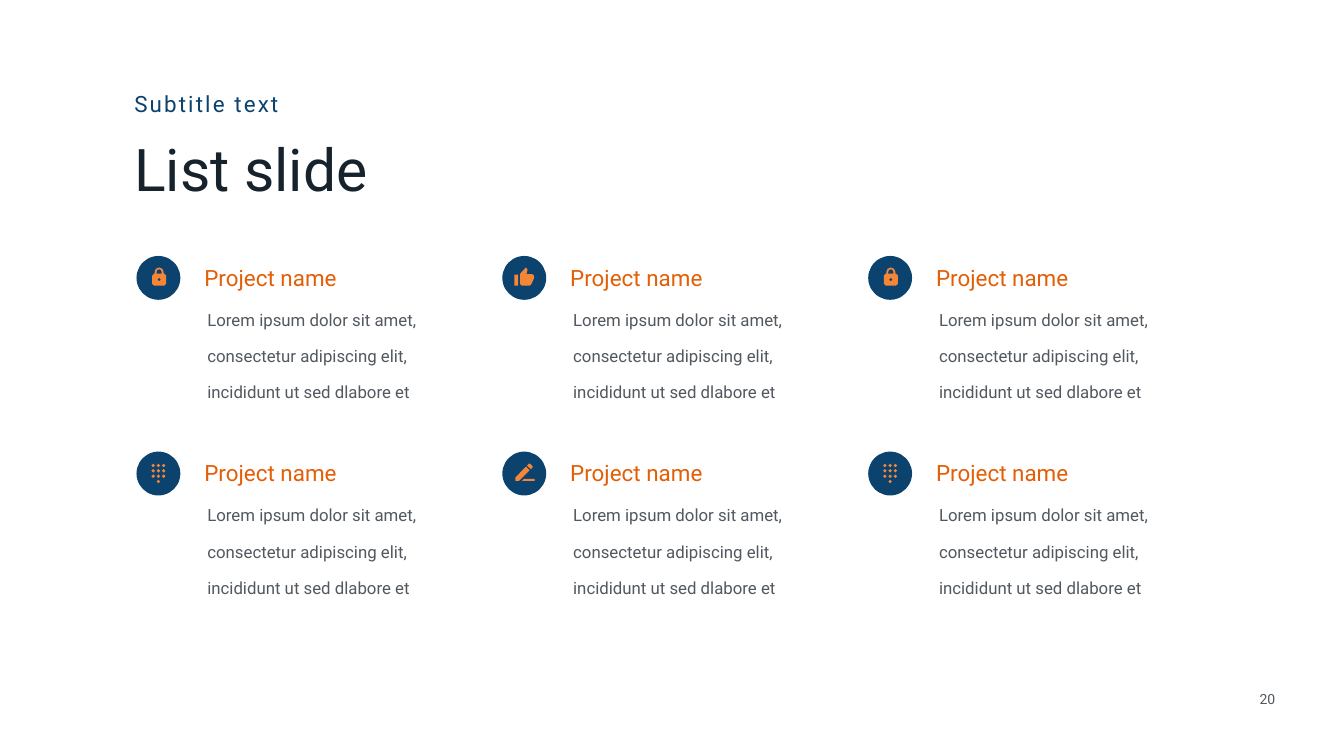
import math

from pptx import Presentation
from pptx.dml.color import RGBColor
from pptx.enum import shapes, text
from pptx.util import Cm, Pt

NAVY = RGBColor(0x0B, 0x42, 0x6E)
INK = RGBColor(0x16, 0x22, 0x2C)
GREY = RGBColor(0x51, 0x58, 0x5F)
ORANGE = RGBColor(0xE4, 0x5E, 0x06)
LIGHT_ORANGE = RGBColor(0xF5, 0x86, 0x37)

GRID_LEFT, GRID_TOP = 6.88, 12.9
COLUMN_STEP, ROW_STEP = 18.44, 9.86
BADGE_SIZE = 2.21
TEXT_INDENT = 3.32
HEADING = "Project name"
DESCRIPTION = ("Lorem ipsum dolor sit amet, consectetur adipiscing elit, "
               "incididunt ut sed dlabore et")


def dot(x, y, radius):
    return [(x, y - radius), (x + radius, y), (x, y + radius), (x - radius, y)]


def arch(x, y, radius, steps=4):
    angles = [math.pi * (1 + i / steps) for i in range(steps + 1)]
    return [(x + radius * math.cos(a), y + radius * math.sin(a)) for a in angles]


def lock():
    body = [(7.9, 9.9), (8.9, 8.9), (9.1, 8.9), *arch(11.4, 8.1, 2.3),
            (13.7, 8.9), (14, 8.9), (15, 9.9), (15, 14), (14, 15), (8.9, 15), (7.9, 14)]
    opening = [(10.1, 8.9), *arch(11.4, 8, 1.3), (12.7, 8.9)]
    return [body, opening, dot(11.4, 11.9, 0.9)]


def thumb():
    cuff = [(6.1, 9.4), (7.9, 9.4), (7.9, 15), (6.1, 15)]
    hand = [(16, 9.9), (15, 9.1), (12.2, 9.1), (12.7, 6.9), (11.9, 5.8), (9.1, 8.8),
            (8.9, 9.4), (8.9, 14), (9.8, 15), (13.7, 15), (14.5, 14.4), (16, 11.2)]
    return [cuff, hand]


def keypad():
    centres = [(8.4 + 2.65 * column, 7 + 2.7 * row)
               for row in range(3) for column in range(3)]
    return [dot(x, y, 0.9) for x, y in centres + [(11.05, 15.1)]]


def pencil():
    barrel = [(6.6, 13), (6.6, 14.7), (8.4, 14.7), (13.7, 9.4), (11.9, 7.6)]
    eraser = [(15.2, 7.9), (15.2, 7.3), (14, 6.1), (13.4, 6.1), (12.4, 7.1), (14.4, 8.9)]
    stroke = [(10.9, 13.8), (9.9, 14.7), (16.3, 14.7), (16.3, 13.8)]
    return [barrel, eraser, stroke]


def paint(shape, color):
    shape.shadow.inherit = False
    shape.fill.solid()
    shape.fill.fore_color.rgb = color
    shape.line.fill.background()


def add_badge(slide, left, top, outlines):
    badge = slide.shapes.add_group_shape().shapes
    paint(badge.add_shape(shapes.MSO_SHAPE.OVAL, Cm(left), Cm(top),
                          Cm(BADGE_SIZE), Cm(BADGE_SIZE)), NAVY)
    # Icon outlines are in millimetres from the badge's corner.
    placed = [[(Cm(left + x / 10), Cm(top + y / 10)) for x, y in outline]
              for outline in outlines]
    builder = badge.build_freeform(*placed[0][0])
    builder.add_line_segments(placed[0][1:])
    for first, *rest in placed[1:]:
        builder.move_to(*first)
        builder.add_line_segments(rest)
    paint(builder.convert_to_shape(), LIGHT_ORANGE)


def write(box, words, size, color, inset=(0.1, 0.1), grow=False):
    frame = box.text_frame
    frame.word_wrap = True
    frame.auto_size = (text.MSO_AUTO_SIZE.SHAPE_TO_FIT_TEXT if grow
                       else text.MSO_AUTO_SIZE.NONE)
    frame.vertical_anchor = text.MSO_ANCHOR.TOP
    frame.margin_left = frame.margin_right = Cm(inset[0])
    frame.margin_top = frame.margin_bottom = Cm(inset[1])
    paragraph = frame.paragraphs[0]
    paragraph.alignment = text.PP_ALIGN.LEFT
    run = paragraph.add_run()
    run.text = words
    run.font.name = "Roboto"
    run.font.size = Pt(size)
    run.font.color.rgb = color
    return paragraph


def add_text(parent, left, top, width, height, *content, **layout):
    box = parent.add_textbox(Cm(left), Cm(top), Cm(width), Cm(height))
    return box, write(box, *content, **layout)


def add_project(slide, left, top):
    project = slide.shapes.add_group_shape().shapes
    _, description = add_text(project, left + TEXT_INDENT, top + 1.75, 11.25, 5.54,
                              DESCRIPTION, 24, GREY, inset=(0.25, 0.13), grow=True)
    description.line_spacing = 1.8
    add_text(project, left + TEXT_INDENT, top + 0.3, 9.68, 2.21, HEADING, 32, ORANGE)


def add_header(slide):
    title = slide.shapes.title
    title.left, title.top, title.width, title.height = Cm(6.67), Cm(6.58), Cm(21.79), Cm(4.39)
    write(title, "List slide", 84, INK)
    box, subtitle = add_text(slide.shapes, 6.67, 4.45, 15.54, 1.57,
                             "Subtitle text", 32, NAVY, grow=True)
    box.text_frame.vertical_anchor = text.MSO_ANCHOR.MIDDLE
    subtitle.runs[0]._r.get_or_add_rPr().set("spc", "300")


def main():
    deck = Presentation()
    deck.slide_width, deck.slide_height = Cm(67.74), Cm(38.1)
    slide = deck.slides.add_slide(deck.slide_layouts[5])
    add_header(slide)
    icon_rows = [(lock, thumb, lock), (keypad, pencil, keypad)]
    for row, icons in enumerate(icon_rows):
        for column, icon in enumerate(icons):
            left, top = GRID_LEFT + column * COLUMN_STEP, GRID_TOP + row * ROW_STEP
            add_badge(slide, left, top, icon())
            add_project(slide, left, top)
    _, page_number = add_text(slide.shapes, 62.64, 34.7, 2.49, 1.07, "20", 20, GREY, grow=True)
    page_number.alignment = text.PP_ALIGN.CENTER
    deck.save("out.pptx")


if __name__ == "__main__":
    main()
